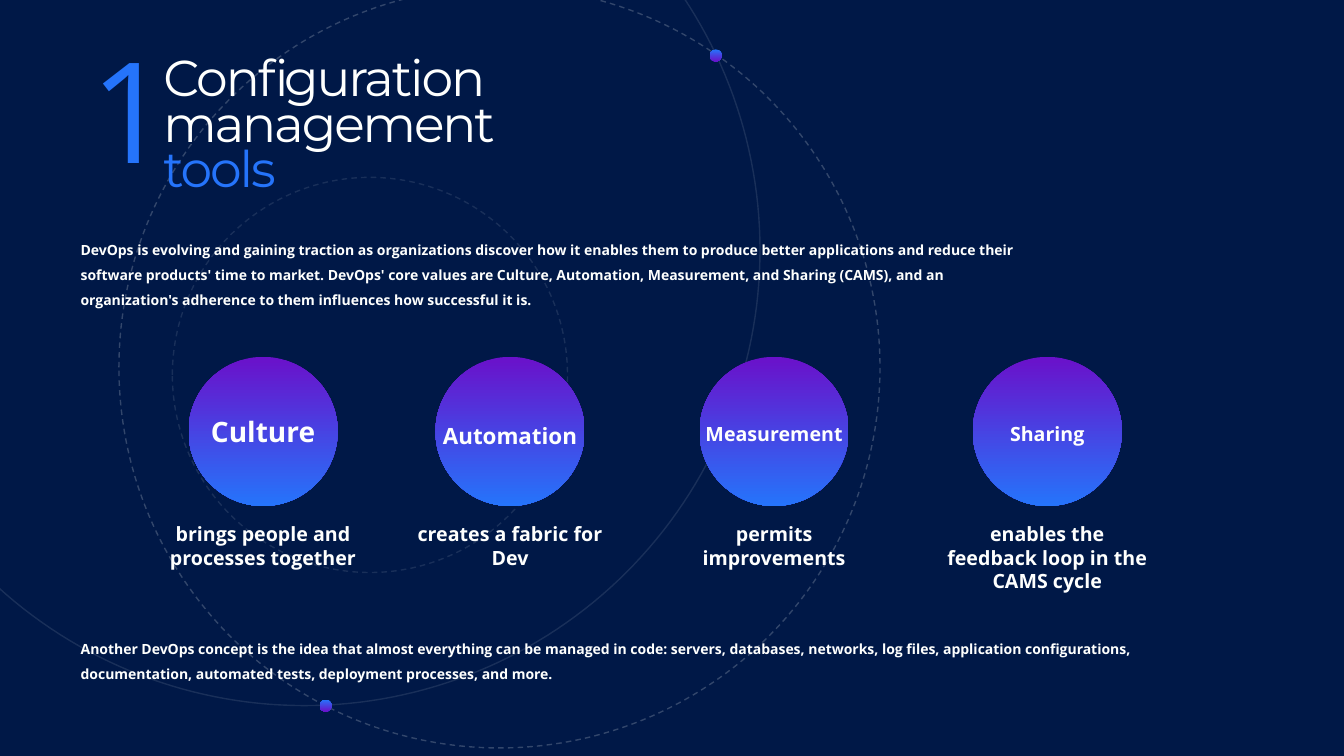
import math
from dataclasses import dataclass

from lxml import etree
from pptx import Presentation
from pptx.dml.color import RGBColor
from pptx.enum.dml import MSO_LINE_DASH_STYLE
from pptx.enum.shapes import MSO_SHAPE
from pptx.enum.text import MSO_AUTO_SIZE, PP_ALIGN
from pptx.oxml.ns import qn
from pptx.util import Inches, Pt

OVAL = MSO_SHAPE.OVAL
DASH = MSO_LINE_DASH_STYLE.DASH
SOLID = MSO_LINE_DASH_STYLE.SOLID
GROW = MSO_AUTO_SIZE.SHAPE_TO_FIT_TEXT
FIXED = MSO_AUTO_SIZE.NONE
LEFT = PP_ALIGN.LEFT
CENTER = PP_ALIGN.CENTER

COLORS = {"night": "001847", "white": "FEFFFE", "blue": "2574FB", "purple": "6A11CA"}
BODY_FONT = "Open Sans"
TITLE_FONT = "Montserrat"

WIDTH, HEIGHT = Inches(13.333), Inches(7.5)
COLUMNS, ROWS = 160, 90
COLUMN, ROW = WIDTH / COLUMNS, HEIGHT / ROWS

MARGIN = 9.6
DISC_TOP, DISC_SIZE = 42.48, 17.76
CAPTION_TOP, CAPTION_WIDTH = 61.56, 24.72


@dataclass(frozen=True)
class Spot:
    column: float
    row: float
    columns: float
    rows: float

    def emu(self) -> tuple[int, int, int, int]:
        return (round(self.column * COLUMN), round(self.row * ROW),
                round(self.columns * COLUMN), round(self.rows * ROW))


@dataclass(frozen=True)
class Ring:
    column: float
    row: float
    size: float
    opacity: int


@dataclass(frozen=True)
class Value:
    column: float
    name: str
    size: int
    label_row: float
    label_columns: float
    label_rows: float
    caption: str
    caption_rows: float


OUTER_RING = Ring(14.16, -1.56, 90.6, 20)
INNER_RING = Ring(20.52, 21.12, 47.04, 10)
DOTS = ((84.48, 5.88), (38.04, 83.28))
DOT_SIZE = 1.44

VALUES = (
    Value(22.44, "Culture", 20, 48.72, 15.6, 5.28,
          "brings people and processes together", 6.84),
    Value(51.84, "Automation", 16, 49.68, 20.04, 4.44,
          "creates a fabric for Dev", 6.84),
    Value(83.28, "Measurement", 14, 49.68, 20.04, 4.08,
          "permits improvements", 6.84),
    Value(115.8, "Sharing", 14, 49.68, 20.04, 4.08,
          "enables the feedback loop in the CAMS cycle", 9.72),
)

INTRO = (
    "DevOps is evolving and gaining traction as organizations discover how it enables "
    "them to produce better applications and reduce their software products' time to "
    "market. DevOps' core values are Culture, Automation, Measurement, and Sharing "
    "(CAMS), and an organization's adherence to them influences how successful it is."
)
CLOSING = (
    "Another DevOps concept is the idea that almost everything can be managed in code: "
    "servers, databases, networks, log files, application configurations, "
    "documentation, automated tests, deployment processes, and more."
)


def rgb(name: str) -> RGBColor:
    return RGBColor.from_string(COLORS[name])


def outline(shape, opacity: int, dash) -> None:
    shape.shadow.inherit = False
    shape.fill.background()
    shape.line.color.rgb = rgb("white")
    shape.line.width = Pt(1)
    shape.line.dash_style = dash
    color = shape.line._get_or_add_ln().find(".//" + qn("a:srgbClr"))
    etree.SubElement(color, qn("a:alpha")).set("val", str(opacity * 1000))


def add_ring(page, ring: Ring) -> None:
    spot = Spot(ring.column, ring.row, ring.size, ring.size)
    outline(page.shapes.add_shape(OVAL, *spot.emu()), ring.opacity, DASH)


def add_disc(page, column: float, row: float, size: float, top: str, bottom: str) -> None:
    disc = page.shapes.add_shape(OVAL, *Spot(column, row, size, size).emu())
    disc.shadow.inherit = False
    disc.line.fill.background()
    disc.fill.gradient()
    disc.fill.gradient_angle = 270
    for stop, name in zip(disc.fill.gradient_stops, (top, bottom)):
        stop.color.rgb = rgb(name)


def add_arc(page) -> None:
    center_column, center_row, radius = 36.24, 29.76, 54.24
    first, last, steps = -35.3, 133.8, 120
    left, top = -1.3, -1.56
    points = []
    for step in range(steps + 1):
        angle = math.radians(first + (last - first) * step / steps)
        points.append((round((center_column + radius * math.cos(angle)) * COLUMN),
                       round((center_row + radius * math.sin(angle)) * ROW)))
    builder = page.shapes.build_freeform(round(left * COLUMN), round(top * ROW))
    builder.add_line_segments(points, close=True)
    outline(builder.convert_to_shape(), 10, SOLID)


def write(page, spot: Spot, text: str, *, size: float, font: str = BODY_FONT,
          color: str = "white", last_color: str = "", bold: bool = False,
          align=LEFT, spacing: float = 1.0, tracking: float = 0,
          inset: float = 0, fit=GROW) -> None:
    box = page.shapes.add_textbox(*spot.emu())
    frame = box.text_frame
    frame.word_wrap = True
    frame.auto_size = fit
    frame.margin_left = frame.margin_right = round(inset * COLUMN)
    para = frame.paragraphs[0]
    para.alignment = align
    para.line_spacing = spacing
    lines = text.split("\n")
    for index, line in enumerate(lines):
        if index:
            para.add_line_break()
        span = para.add_run()
        span.text = line
        span.font.name = font
        span.font.size = Pt(size)
        span.font.bold = bold
        is_last = index == len(lines) - 1
        span.font.color.rgb = rgb(last_color if is_last and last_color else color)
        if tracking:
            span.font._element.set("spc", str(round(tracking * 100)))


def add_value(page, value: Value) -> None:
    center = value.column + DISC_SIZE / 2
    add_disc(page, value.column, DISC_TOP, DISC_SIZE, "purple", "blue")
    write(page, Spot(center - CAPTION_WIDTH / 2, CAPTION_TOP, CAPTION_WIDTH,
                     value.caption_rows),
          value.caption, size=14, bold=True, align=CENTER)
    write(page, Spot(center - value.label_columns / 2, value.label_row,
                     value.label_columns, value.label_rows),
          value.name, size=value.size, bold=True, align=CENTER)


def main() -> None:
    deck = Presentation()
    deck.slide_width, deck.slide_height = WIDTH, HEIGHT
    page = deck.slides.add_slide(deck.slide_layouts[6])
    page.background.fill.solid()
    page.background.fill.fore_color.rgb = rgb("night")

    add_arc(page)
    add_ring(page, OUTER_RING)
    for column, row in DOTS:
        add_disc(page, column, row, DOT_SIZE, "blue", "purple")
    add_ring(page, INNER_RING)

    write(page, Spot(18.24, 6.6, 57.48, 20.16), "Configuration management\ntools",
          size=36, font=TITLE_FONT, last_color="blue", spacing=0.75, tracking=-1.5,
          inset=1.2, fit=FIXED)
    write(page, Spot(MARGIN, 27.12, 114.72, 12.12), INTRO, size=10, bold=True, spacing=1.5)
    for value in VALUES:
        add_value(page, value)
    write(page, Spot(MARGIN, 74.64, 138.12, 6.96), CLOSING, size=10, bold=True, spacing=1.5)
    write(page, Spot(MARGIN, 2.16, 8.28, 25.92), "1", size=100, color="blue", inset=1.2)

    deck.save("out.pptx")


if __name__ == "__main__":
    main()
